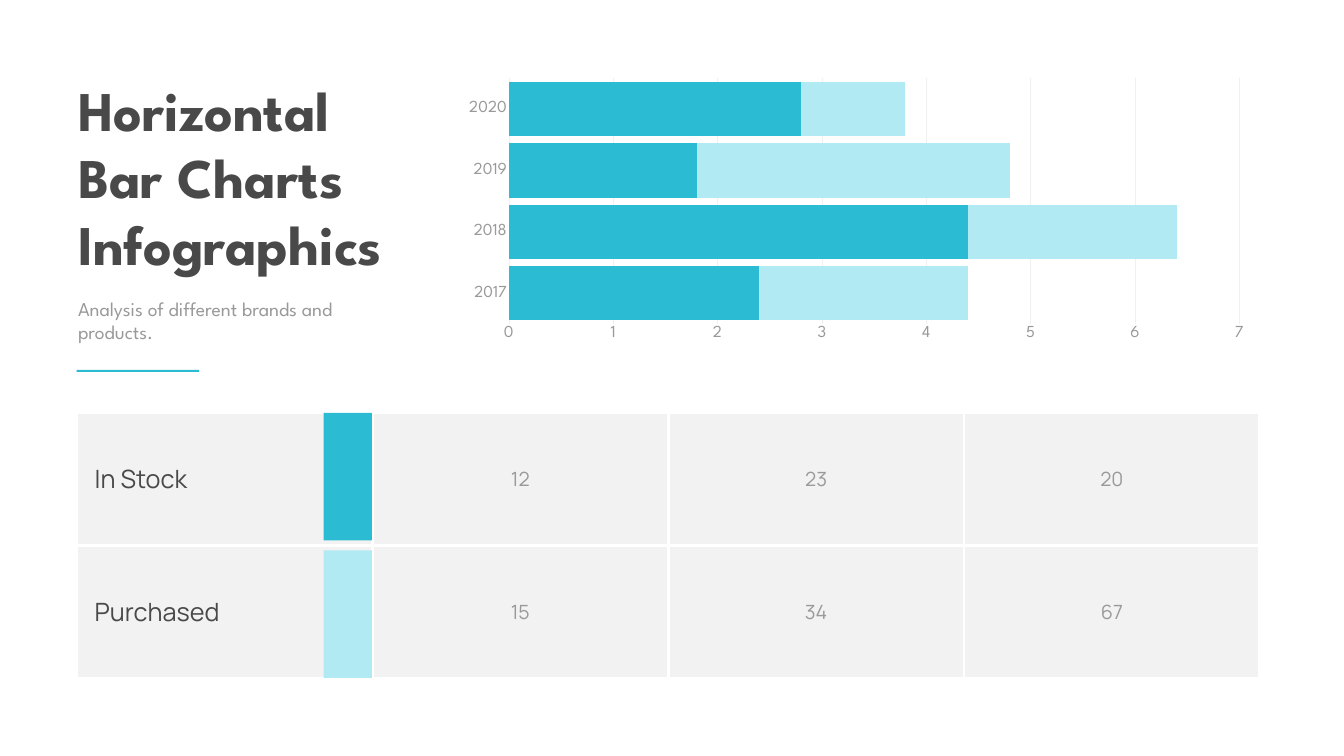
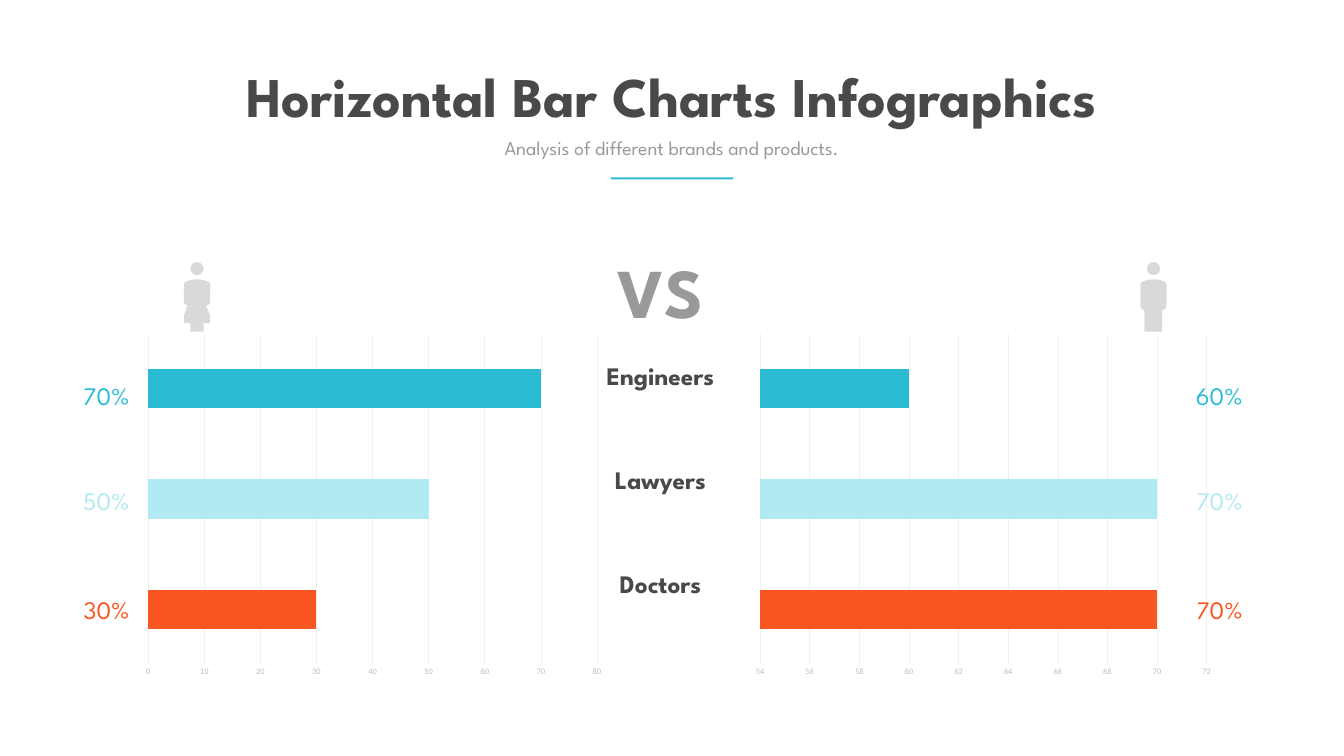
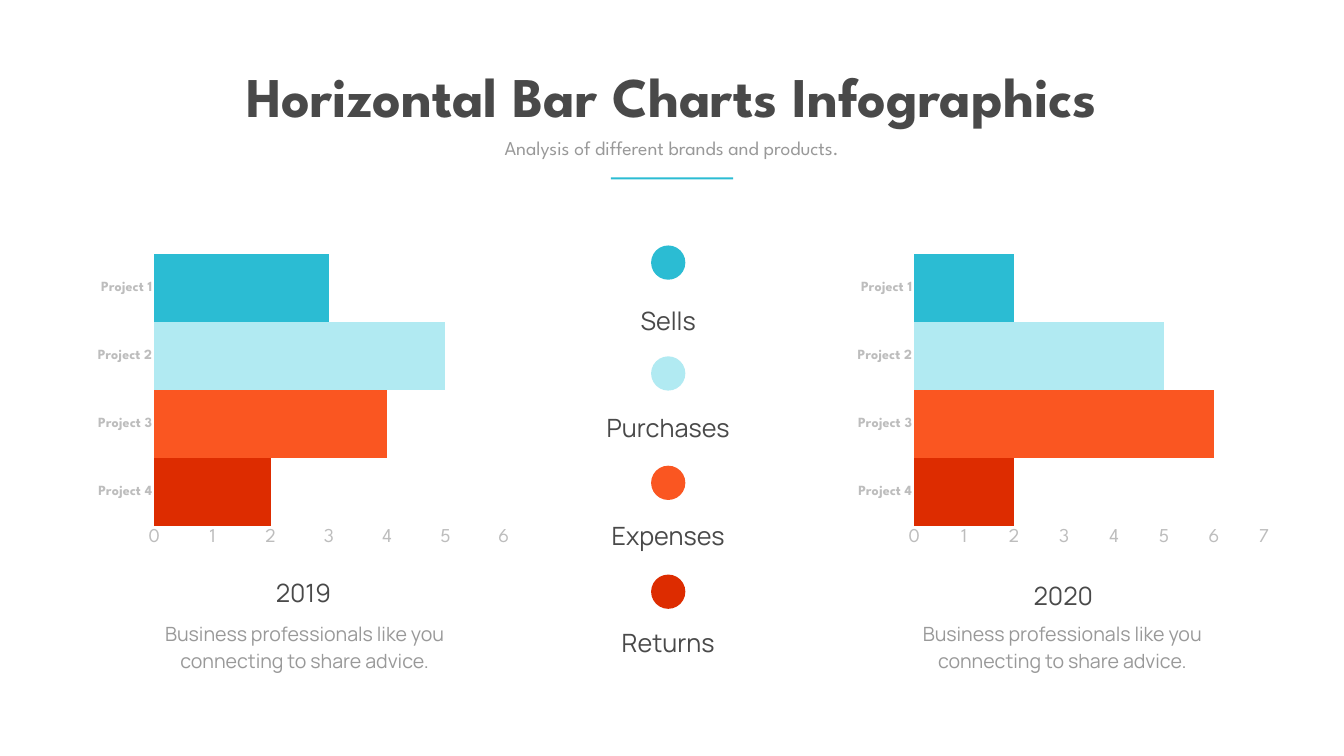
from dataclasses import dataclass

from lxml import etree
from pptx import Presentation
from pptx.chart.data import CategoryChartData
from pptx.dml.color import RGBColor
from pptx.enum.chart import XL_CHART_TYPE as ChartType, XL_TICK_MARK as TickMark
from pptx.enum.shapes import MSO_SHAPE as Shape
from pptx.enum.text import MSO_ANCHOR as Anchor, MSO_AUTO_SIZE as AutoSize, PP_ALIGN as Align
from pptx.oxml.ns import qn
from pptx.util import Inches, Pt


@dataclass(frozen=True)
class Theme:
    teal: str = "2BBCD3"
    pale: str = "B1EAF2"
    orange: str = "FA5621"
    red: str = "DD2C00"
    dark: str = "494949"
    gray: str = "999999"
    axis: str = "BDBDBD"
    grid: str = "F0F0F0"
    cell: str = "F2F2F2"
    figure: str = "D9D9D9"
    white: str = "FFFFFF"
    heading: str = "League Spartan"
    body: str = "Manrope"
    plain: str = "Calibri"
    title_size: float = 80
    versus_size: float = 100
    label_size: float = 36
    body_size: float = 28
    axis_size: float = 24
    chart_size: float = 20
    small_axis_size: float = 12
    tiny_size: float = 10


T = Theme()

# Content
TITLE = ["Horizontal", "Bar Charts", "Infographics"]
SUBTITLE = "Analysis of different brands and products."

YEARS = ["2017", "2018", "2019", "2020"]
STACKS = [("Series 1", [2.4, 4.4, 1.8, 2.8]), ("Series 2", [2, 2, 3, 1])]
STOCK = [("In Stock", "12", "23", "20"), ("Purchased", "15", "34", "67")]

# Job, label top, percent top, colour
JOBS = [("Engineers", 7.1, 7.5, T.teal), ("Lawyers", 9.17, 9.57, T.pale),
        ("Doctors", 11.23, 11.74, T.orange)]
# Chart left, values from bottom up, axis range and unit, percents, percent left
JOB_SIDES = [
    (14.81, [70, 70, 60], (54, 72, 2), ["60%", "70%", "70%"], 23.59),
    (2.71, [30, 50, 70], (0, 80, 10), ["70%", "50%", "30%"], 1.5),
]

PROJECTS = ["Project 4", "Project 3", "Project 2", "Project 1"]
PROJECT_COLORS = [T.red, T.orange, T.pale, T.teal]
LEGEND = [("Sells", 4.87), ("Purchases", 7.07), ("Expenses", 9.24), ("Returns", 11.4)]
ADVICE = "Business professionals like you connecting to share advice."
# Year, year top, chart left, values, axis maximum, advice box left and width
PROJECT_SIDES = [
    ("2019", 11.4, 1.77, [2, 4, 5, 3], 6, 2.63, 6.83),
    ("2020", 11.46, 16.85, [2, 6, 5, 2], 7, 17.83, 6.5),
]

# Body outlines: two numbers make a line, six a curve
SHOULDERS = [(0.46, 0.04), (0.33, -0.01, 0.19, -0.01, 0.06, 0.04), (0.02, 0.05, 0, 0.08, 0, 0.12)]
RIGHT_SHOULDER = [(0.52, 0.12), (0.52, 0.08, 0.5, 0.05, 0.46, 0.04)]
WOMAN = SHOULDERS + [
    (0, 0.44), (0, 0.48, 0.03, 0.51, 0.07, 0.52), (0, 0.72), (0, 0.87), (0.13, 0.87),
    (0.13, 1.04), (0.39, 1.04), (0.39, 0.87), (0.52, 0.87), (0.52, 0.72), (0.44, 0.52),
    (0.49, 0.51, 0.52, 0.48, 0.52, 0.44)] + RIGHT_SHOULDER
MAN = SHOULDERS + [
    (0, 0.52), (0, 0.57, 0.04, 0.61, 0.08, 0.61), (0.08, 1.04), (0.43, 1.04),
    (0.43, 0.61), (0.48, 0.61, 0.52, 0.57, 0.52, 0.52)] + RIGHT_SHOULDER


# Helpers
def rgb(color):
    return RGBColor.from_string(color)


def box(left, top, width, height):
    return [Inches(value) for value in (left, top, width, height)]


def set_font(font, size, color, name, bold=False):
    font.size, font.name, font.bold = Pt(size), name, bold
    font.color.rgb = rgb(color)


def write_text(frame, text, size=T.body_size, color=T.gray, name=T.heading,
               bold=False, align=Align.LEFT, spacing=None):
    for index, line in enumerate(text.split("\n")):
        paragraph = frame.add_paragraph() if index else frame.paragraphs[0]
        paragraph.alignment = align
        if spacing:
            paragraph.line_spacing = Pt(spacing)
        run = paragraph.add_run()
        run.text = line
        set_font(run.font, size, color, name, bold)


def add_text(shapes, area, text, wrap=True, **style):
    frame = shapes.add_textbox(*box(*area)).text_frame
    frame.word_wrap = wrap
    frame.auto_size = AutoSize.SHAPE_TO_FIT_TEXT
    write_text(frame, text, **style)


def paint(shape, color):
    shape.shadow.inherit = False
    shape.fill.solid()
    shape.fill.fore_color.rgb = rgb(color)
    shape.line.fill.background()


def add_block(shapes, area, color, kind=Shape.RECTANGLE):
    paint(shapes.add_shape(kind, *box(*area)), color)


def add_centered_header(slide):
    add_text(slide.shapes, (4.08, 1.17, 18.5, 1.45), " ".join(TITLE), wrap=False,
             size=T.title_size, color=T.dark, bold=True, align=Align.CENTER)
    add_text(slide.shapes, (8.55, 2.65, 9.56, 0.57), SUBTITLE, align=Align.CENTER)
    add_block(slide.shapes, (12.12, 3.52, 2.43, 0.04), T.teal)


def add_bars(slide, area, kind, categories, series, colors, scale, gap, value_font,
             category_font=None, grid=True, font=(T.chart_size, T.gray, T.body)):
    """Several series take one colour each; a single series takes one per bar."""
    data = CategoryChartData()
    data.categories = categories
    for name, values in series:
        data.add_series(name, values)
    chart = slide.shapes.add_chart(kind, *box(*area), data).chart
    chart.has_legend = chart.has_title = False
    set_font(chart.font, *font)

    plot = chart.plots[0]
    plot.vary_by_categories = False
    plot.gap_width = gap
    if kind == ChartType.BAR_STACKED:
        plot.overlap = 100
    bars = plot.series if len(series) > 1 else [
        plot.series[0].points[index] for index in range(len(categories))]
    for bar, color in zip(bars, colors):
        bar.format.fill.solid()
        bar.format.fill.fore_color.rgb = rgb(color)

    category_axis, value_axis = chart.category_axis, chart.value_axis
    for axis in (category_axis, value_axis):
        axis.major_tick_mark = axis.minor_tick_mark = TickMark.NONE
    category_axis.has_major_gridlines = False
    category_axis.visible = category_font is not None
    if category_font:
        set_font(category_axis.tick_labels.font, *category_font)
        category_axis.format.line.color.rgb = rgb(T.grid)
        category_axis.format.line.width = Pt(0.75)
    value_axis.minimum_scale, value_axis.maximum_scale, value_axis.major_unit = scale
    set_font(value_axis.tick_labels.font, *value_font)
    value_axis.format.line.fill.background()
    value_axis.has_major_gridlines = grid
    if grid:
        line = value_axis.major_gridlines.format.line
        line.color.rgb = rgb(T.grid)
        line.width = Pt(0.75)


def style_cell(cell, fill):
    properties = cell._tc.get_or_add_tcPr()
    for side in ("a:lnL", "a:lnR", "a:lnT", "a:lnB"):
        line = etree.SubElement(properties, qn(side), w=str(Pt(4.5)))
        solid = etree.SubElement(line, qn("a:solidFill"))
        etree.SubElement(solid, qn("a:srgbClr"), val=T.white)
    cell.fill.solid()
    cell.fill.fore_color.rgb = rgb(fill)
    cell.vertical_anchor = Anchor.MIDDLE
    cell.margin_left = cell.margin_right = Inches(0.09)
    cell.margin_top = cell.margin_bottom = Inches(0.04)


def trace(outline, steps=8):
    """Turn lines and cubic curves into plain points."""
    points = [outline[0]]
    for part in outline[1:]:
        if len(part) == 2:
            points.append(part)
            continue
        start, controls = points[-1], (part[:2], part[2:4], part[4:])
        for step in range(1, steps + 1):
            t = step / steps
            weights = ((1 - t) ** 3, 3 * t * (1 - t) ** 2, 3 * t * t * (1 - t), t ** 3)
            points.append(tuple(sum(w * p[axis] for w, p in zip(weights, (start, *controls)))
                                for axis in (0, 1)))
    return points


def add_person(slide, left, outline, top=5.2):
    shapes = slide.shapes.add_group_shape().shapes
    add_block(shapes, (left + 0.13, top, 0.26, 0.26), T.figure, Shape.OVAL)
    points = [(Inches(left + x), Inches(top + 0.34 + y)) for x, y in trace(outline)]
    builder = shapes.build_freeform(*points[0])
    builder.add_line_segments(points[1:], close=True)
    paint(builder.convert_to_shape(), T.figure)


# Slides
def build_stock(slide):
    header = slide.shapes.add_group_shape().shapes
    add_text(header, (1.45, 1.44, 9.37, 4.14), "\n".join(TITLE),
             size=T.title_size, color=T.dark, bold=True)
    add_text(header, (1.45, 5.84, 5.34, 1.04), SUBTITLE)
    add_block(header, (1.52, 7.34, 2.43, 0.04), T.teal)

    axis_font = (T.axis_size, T.gray, T.heading)
    add_bars(slide, (8.99, 1.44, 16.01, 5.44), ChartType.BAR_STACKED, YEARS, STACKS,
             [T.teal, T.pale], (0, 7, 1), 13, axis_font, axis_font)

    # Table with a colour key per row
    left, top, width, height = 1.52, 8.19, 23.48, 5.27
    table = slide.shapes.add_table(len(STOCK), len(STOCK[0]),
                                   *box(left, top, width, height)).table
    table.first_row = table.horz_banding = False
    for row, values in enumerate(STOCK):
        for column, text in enumerate(values):
            cell = table.cell(row, column)
            style_cell(cell, T.cell)
            if column:
                write_text(cell.text_frame, text, name=T.body, align=Align.CENTER)
            else:
                cell.margin_left = Inches(0.36)
                write_text(cell.text_frame, text, size=T.label_size, color=T.dark, name=T.body)
    for row, color in enumerate((T.teal, T.pale)):
        add_block(slide.shapes, (6.42, top + row * 2.73, 0.96, 2.53), color)


def build_jobs(slide):
    colors = [color for *_, color in JOBS]
    for left, values, scale, *_ in JOB_SIDES:
        add_bars(slide, (left, 6.48, 9.41, 7.08), ChartType.BAR_CLUSTERED, ["1", "2", "3"],
                 [("Series 1", values)], colors[::-1], scale, 182,
                 (T.small_axis_size, T.axis, T.plain), font=(T.tiny_size, T.gray, T.plain))
    add_centered_header(slide)

    # Job names and percents
    for index, (job, job_top, percent_top, color) in enumerate(JOBS):
        add_text(slide.shapes, (11.42, job_top, 3.37, 0.71), job, size=T.label_size,
                 color=T.dark, bold=True, align=Align.CENTER)
        for *_, percents, left in JOB_SIDES:
            add_text(slide.shapes, (left, percent_top, 1.17, 0.71), percents[index],
                     wrap=False, size=T.label_size, color=color, align=Align.RIGHT)
    add_text(slide.shapes, (12.15, 4.88, 1.91, 1.78), "VS", wrap=False,
             size=T.versus_size, bold=True, align=Align.CENTER)
    add_person(slide, 3.65, WOMAN)
    add_person(slide, 22.63, MAN)


def build_projects(slide):
    add_centered_header(slide)
    label = dict(size=T.label_size, color=T.dark, name=T.body, align=Align.CENTER)

    # Legend
    for index, (text, dot_top) in enumerate(LEGEND):
        add_text(slide.shapes, (10.87, 6.01 + index * 2.13, 4.78, 0.69), text, **label)
        add_block(slide.shapes, (12.92, dot_top, 0.68, 0.68),
                  PROJECT_COLORS[-1 - index], Shape.OVAL)

    # One chart and caption per year
    for year, year_top, left, values, maximum, advice_left, advice_width in PROJECT_SIDES:
        add_text(slide.shapes, (advice_left, 12.22, advice_width, 1.15), ADVICE,
                 name=T.body, align=Align.CENTER, spacing=38.6)
        add_text(slide.shapes, (left + 1.86, year_top, 4.78, 0.69), year, **label)
        add_bars(slide, (left, 4.92, 8.5, 6.04), ChartType.BAR_STACKED, PROJECTS,
                 [("Series 1", values)], PROJECT_COLORS, (0, maximum, 1), 0,
                 (T.body_size, T.axis, T.heading),
                 (T.chart_size, T.axis, T.heading, True), grid=False)


def main():
    presentation = Presentation()
    presentation.slide_width, presentation.slide_height = Inches(26.67), Inches(15)
    for build in (build_stock, build_jobs, build_projects):
        build(presentation.slides.add_slide(presentation.slide_layouts[6]))
    presentation.save("out.pptx")


if __name__ == "__main__":
    main()
